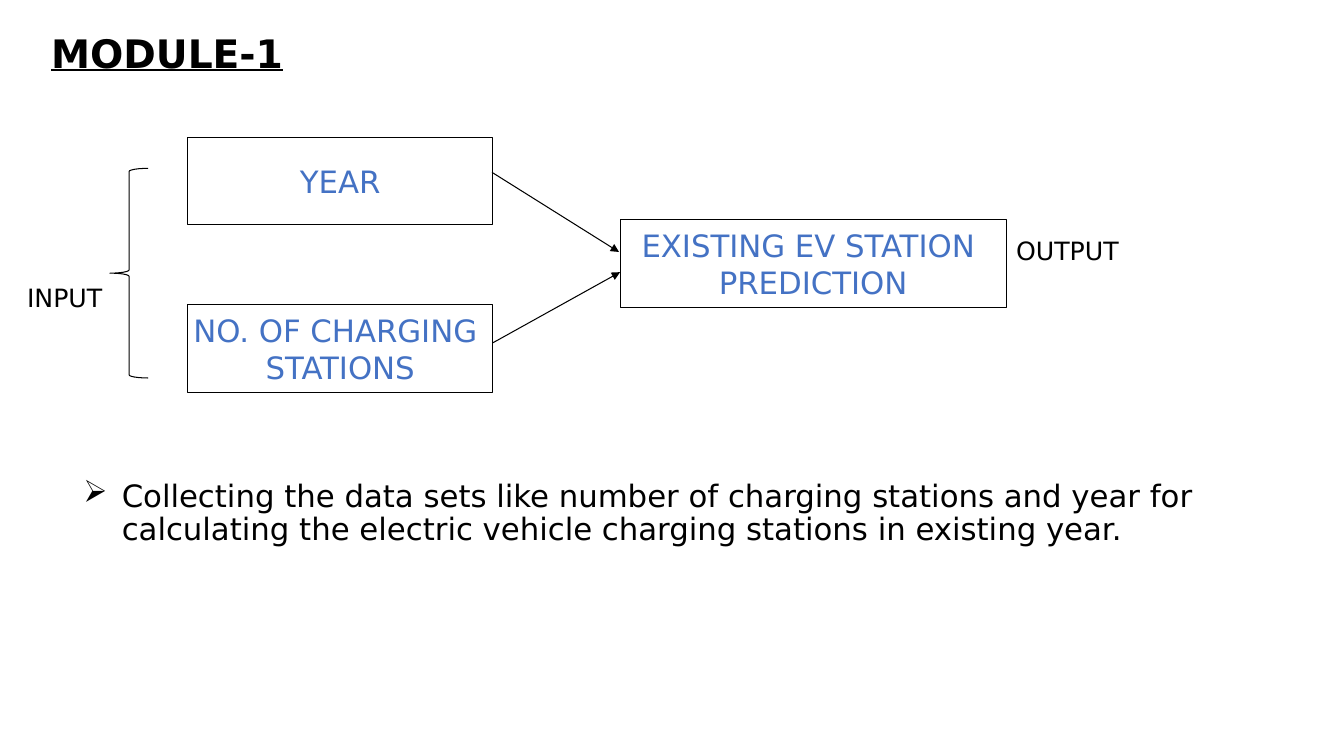
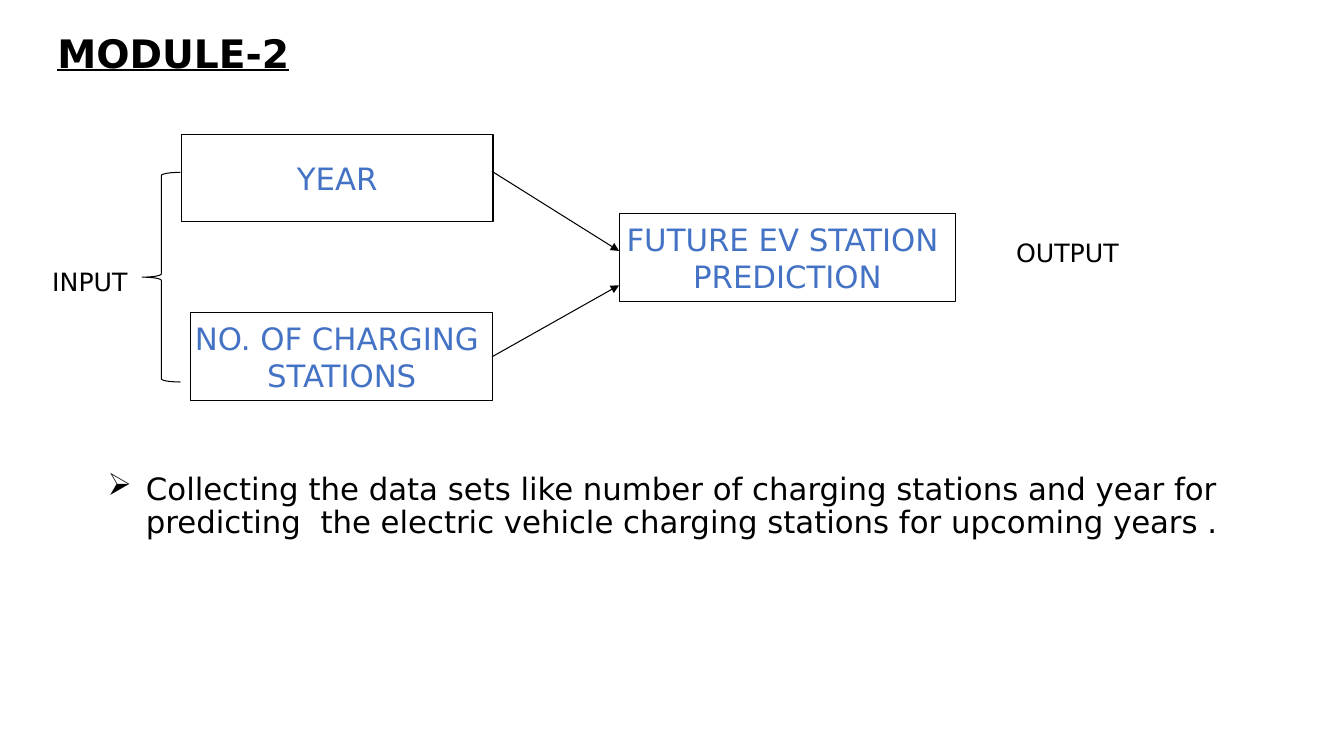
from lxml.etree import SubElement
from pptx import Presentation
from pptx.dml.color import RGBColor
from pptx.enum.shapes import MSO_CONNECTOR, MSO_SHAPE
from pptx.enum.text import MSO_ANCHOR, PP_ALIGN
from pptx.oxml.ns import qn
from pptx.util import Inches, Pt

FONT = "DejaVu Sans"
BLACK, BLUE, WHITE = "000000", "4472C4", "FFFFFF"
HEAD = {"size": Pt(28), "bold": True, "underline": True}
NODE = {"size": Pt(22)}
BODY = {"size": Pt(22)}
TAG = {"size": Pt(18)}
MID = {"alignment": PP_ALIGN.CENTER}
ITEM = {"line_spacing": 0.9, "space_before": Pt(10)}
HIGH = 0.87
STOCK = ["NO. OF CHARGING ", "STATIONS"]

SLIDES = [
    {
        "title": ("MODULE-1", 0.41),
        "nodes": [
            (["YEAR"], 1.86, 1.36, 3.03),
            (["EXISTING EV STATION ", "PREDICTION"], 6.15, 2.18, 3.83),
            (STOCK, 1.86, 3.02, 3.03),
        ],
        "arrows": [(4.88, 1.71, 6.14, 2.5), (4.89, 3.4, 6.15, 2.7)],
        "brace": (1.09, 1.67),
        "tags": [("OUTPUT", 9.98, 2.29, 1.26), ("INPUT", 0.17, 2.75, 1.1)],
        "body": ("Collecting the data sets like number of charging stations and year for "
                 "calculating the electric vehicle charging stations in existing year.", 0.73, 4.72),
    },
    {
        "title": ("MODULE-2", 0.47),
        "nodes": [
            (["YEAR"], 1.8, 1.33, 3.09),
            (["FUTURE EV STATION ", "PREDICTION"], 6.14, 2.12, 3.34),
            (STOCK, 1.89, 3.1, 3),
        ],
        "arrows": [(4.88, 1.7, 6.14, 2.49), (4.88, 3.54, 6.14, 2.83)],
        "brace": (1.41, 1.71),
        "tags": [("OUTPUT", 9.98, 2.31, 1.26), ("INPUT", 0.42, 2.59, 1.1)],
        "body": ("Collecting the data sets like number of charging stations and year for "
                 "predicting  the electric vehicle charging stations for upcoming years .", 0.97, 4.65),
    },
]


def tint(code):
    return RGBColor.from_string(code)


def apply(item, style):
    for name, value in style.items():
        setattr(item, name, value)


def write(frame, lines, style, color=BLACK, para={}):
    for i, line in enumerate(lines):
        p = frame.add_paragraph() if i else frame.paragraphs[0]
        apply(p, para)
        run = p.add_run()
        run.text = line
        apply(run.font, {"name": FONT, **style})
        run.font.color.rgb = tint(color)


def edge(item):
    item.line.color.rgb = tint(BLACK)
    item.line.width = Pt(0.75)


def label(slide, text, x, y, w, h, style, para={}):
    box = slide.shapes.add_textbox(*map(Inches, (x, y, w, h)))
    box.text_frame.word_wrap = True
    write(box.text_frame, [text], style, para=para)
    return box


def shape(slide, kind, x, y, w, h):
    item = slide.shapes.add_shape(kind, *map(Inches, (x, y, w, h)))
    item.shadow.inherit = False
    edge(item)
    return item


def node(slide, lines, x, y, w):
    box = shape(slide, MSO_SHAPE.RECTANGLE, x, y, w, HIGH)
    box.fill.solid()
    box.fill.fore_color.rgb = tint(WHITE)
    apply(box.text_frame, {"word_wrap": False, "vertical_anchor": MSO_ANCHOR.MIDDLE})
    write(box.text_frame, lines, NODE, BLUE, MID)


def arrow(slide, *ends):
    link = slide.shapes.add_connector(MSO_CONNECTOR.STRAIGHT, *map(Inches, ends))
    edge(link)
    SubElement(link.line._get_or_add_ln(), qn("a:tailEnd"), type="triangle")
    SubElement(link._element.spPr, qn("a:effectLst"))


def bullet(slide, text, x, y):
    box = label(slide, text, x, y, 12.36, 1.34, BODY, ITEM)
    props = box.text_frame.paragraphs[0]._p.get_or_add_pPr()
    dent = Inches(0.38)
    props.set("marL", str(dent))
    props.set("indent", str(-dent))
    SubElement(props, qn("a:buChar"), char="➢")


def build(deck, data):
    slide = deck.slides.add_slide(deck.slide_layouts[6])
    title, left = data["title"]
    label(slide, title, left, 0.24, 12.52, 0.94, HEAD)
    for item in data["nodes"]:
        node(slide, *item)
    for ends in data["arrows"]:
        arrow(slide, *ends)
    bullet(slide, *data["body"])
    shape(slide, MSO_SHAPE.LEFT_BRACE, *data["brace"], 0.38, 2.08).fill.background()
    for text, x, y, w in data["tags"]:
        label(slide, text, x, y, w, 0.4, TAG)


def main():
    deck = Presentation()
    deck.slide_width, deck.slide_height = Inches(13.33), Inches(7.5)
    for data in SLIDES:
        build(deck, data)
    deck.save("out.pptx")


if __name__ == "__main__":
    main()
